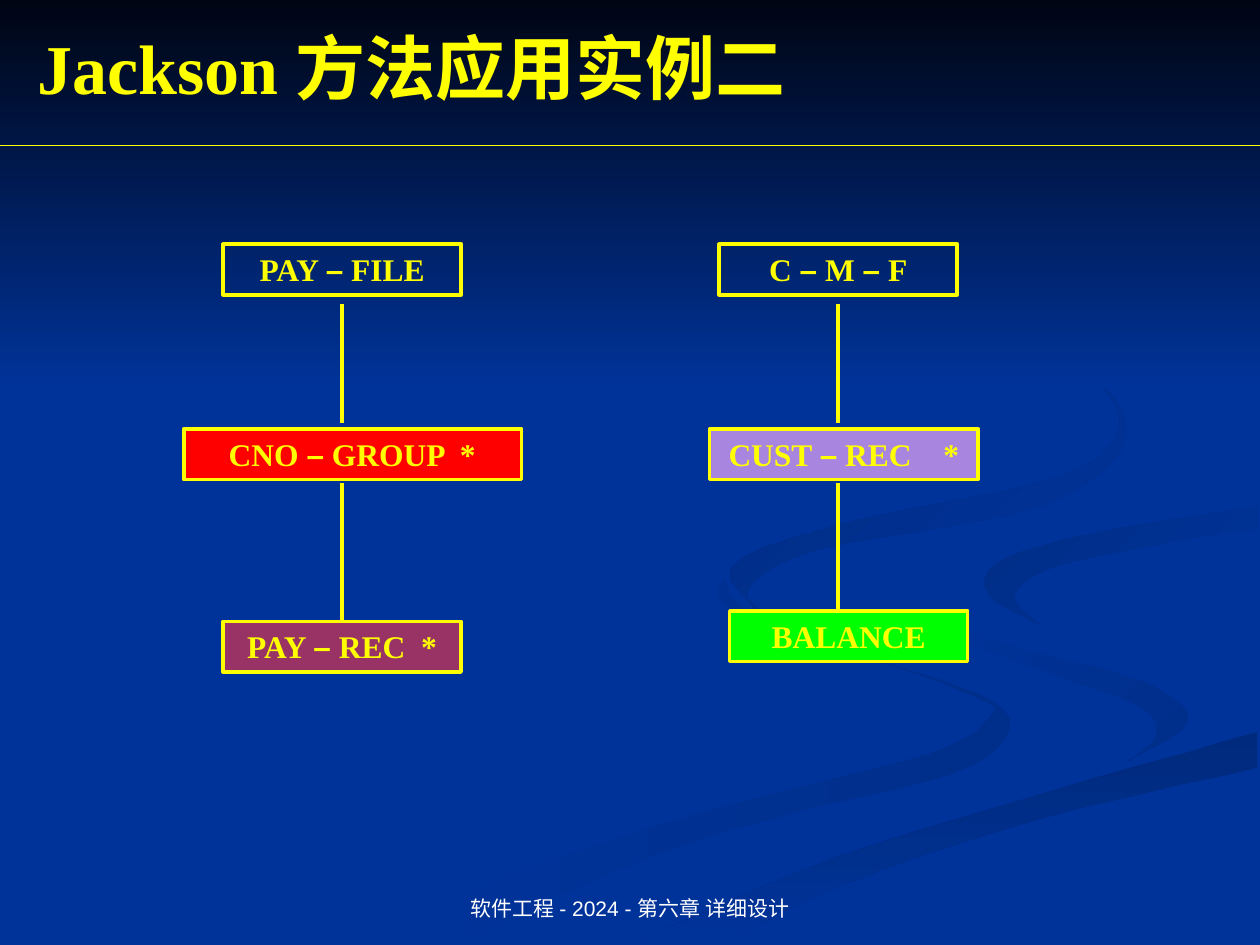
from lxml import etree
from pptx import Presentation
from pptx.dml.color import RGBColor
from pptx.enum.shapes import MSO_CONNECTOR as Connector, MSO_SHAPE as Shape
from pptx.enum.text import MSO_ANCHOR as Anchor, PP_ALIGN as Align
from pptx.oxml.ns import qn
from pptx.util import Pt

YELLOW, WHITE, BLUE = "FFFF00", "FFFFFF", "003399"
SERIF, SANS = "Times New Roman", "Arial"


def color(value):
    return RGBColor.from_string(value)


def write(para, text, format_values, font_color):
    """Fill a paragraph, setting each en dash in the sans font."""
    for piece in text.replace("–", "|–|").split("|"):
        if not piece:
            continue
        span = para.add_run()
        span.text = piece
        for name, value in format_values.items():
            setattr(span.font, name, value)
        if piece == "–":
            span.font.name = SANS
        span.font.color.rgb = color(font_color)


deck = Presentation()
deck.slide_width, deck.slide_height = Pt(720), Pt(540)
page = deck.slides.add_slide(deck.slide_layouts[6])
page.background.fill.solid()
page.background.fill.fore_color.rgb = color(BLUE)

# Ribbons: start color, end color, clockwise angle, then the two edges
# in hundredths of an inch (0.72 pt)
ribbons = [
    (BLUE, "002E8B", 0,
     [(575, 459), (572, 476), (611, 499), (714, 530), (781, 556), (785, 570),
      (739, 598), (579, 639), (417, 690), (300, 749)],
     [(361, 749), (499, 687), (623, 647), (756, 614), (800, 581), (781, 553),
      (682, 519), (594, 485), (575, 459)]),
    (BLUE, "002E8B", 45,
     [(724, 464), (746, 500), (838, 536), (907, 562), (917, 585), (894, 605)],
     [(894, 605), (943, 572), (905, 540), (811, 515), (745, 490), (724, 464)]),
    ("002A7D", BLUE, 90,
     [(571, 749), (670, 702), (821, 651), (998, 609)],
     [(998, 581), (831, 629), (662, 681), (503, 749)]),
    ("002D86", BLUE, 45,
     [(998, 402), (865, 424), (791, 447), (786, 474), (826, 496)],
     [(826, 496), (805, 472), (843, 448), (936, 429), (998, 420)]),
    ("002B82", BLUE, 45,
     [(762, 233), (846, 279), (889, 335), (842, 378), (676, 414), (580, 451), (622, 500)],
     [(622, 500), (593, 470), (649, 436), (825, 402), (894, 344), (843, 275), (762, 233)]),
]
backdrops = []
steps = 5
for start, end, angle, *edges in ribbons:
    outline = []
    for edge in edges:
        # Catmull-Rom curve through the points of the edge
        padded = [edge[0], *edge, edge[-1]]
        for knots in zip(padded, padded[1:], padded[2:], padded[3:]):
            for step in range(steps):
                t = step / steps
                outline.append(tuple(
                    b + t * (c - a) / 2 + t**2 * (a - 2.5 * b + 2 * c - d / 2)
                    + t**3 * (1.5 * (b - c) + (d - a) / 2)
                    for a, b, c, d in zip(*knots)))
        outline.append(edge[-1])
    builder = page.shapes.build_freeform(*outline[0], scale=Pt(0.72))
    builder.add_line_segments(outline[1:], close=True)
    backdrops.append((builder.convert_to_shape(), start, end, angle))

header = page.shapes.add_shape(Shape.RECTANGLE, 0, 0, Pt(720), Pt(222))
backdrops.append((header, "000514", BLUE, 90))
for backdrop, start, end, angle in backdrops:
    backdrop.shadow.inherit = False
    backdrop.line.fill.background()
    backdrop.fill.gradient()
    backdrop.fill.gradient_angle = (360 - angle) % 360
    for stop, value in zip(backdrop.fill.gradient_stops, (start, end)):
        stop.color.rgb = color(value)

# Title and footer
captions = [
    ("Jackson 方法应用实例二", (14.4, 10, 648, 55.5), Anchor.MIDDLE, Align.LEFT,
     {"size": Pt(40), "name": SERIF, "bold": True}, YELLOW),
    ("软件工程 - 2024 - 第六章 详细设计", (246, 492, 228, 37.5), Anchor.BOTTOM, Align.CENTER,
     {"size": Pt(12), "name": SANS}, WHITE),
]
for text, place, anchor, alignment, format_values, font_color in captions:
    frame = page.shapes.add_textbox(*map(Pt, place)).text_frame
    frame.word_wrap = True
    frame.vertical_anchor = anchor
    para = frame.paragraphs[0]
    para.alignment = alignment
    write(para, text, format_values, font_color)

# Structure boxes: text, left, top, width, fill, (left inset, tab stop of the star)
box_width, box_height = 136, 29
file_top, group_top = 139.5, 245
nodes = [
    ("PAY – FILE", 127.5, file_top, box_width, None, None),
    ("CUST – REC\t*", 405.5, group_top, 153.5, "A886E0", (10.8, 122.8)),
    ("PAY – REC\t*", 127.5, 355, box_width, "993366", (13.8, 99.4)),
    ("CNO – GROUP\t*", 105, group_top, 193, "FF0000", (25.7, 132)),
    ("BALANCE", 417, 349, box_width, "00FF00", None),
    ("C – M – F", 411, file_top, box_width, None, None),
]
label_format = {"size": Pt(18), "name": SERIF, "bold": True}
boxes = {}
for text, left, top, width, fill, star in nodes:
    box = page.shapes.add_shape(Shape.RECTANGLE, *map(Pt, (left, top, width, box_height)))
    boxes[text] = box
    box.shadow.inherit = False
    box.line.color.rgb = color(YELLOW)
    box.line.width = Pt(2)
    if fill:
        box.fill.solid()
        box.fill.fore_color.rgb = color(fill)
    else:
        box.fill.background()
    frame = box.text_frame
    frame.word_wrap = True
    frame.vertical_anchor = Anchor.TOP
    para = frame.paragraphs[0]
    para.alignment = Align.CENTER
    if star:
        inset, position = star
        para.alignment = Align.LEFT
        frame.margin_left, frame.margin_right = Pt(inset), 0
        tabs = etree.SubElement(para._p.get_or_add_pPr(), qn("a:tabLst"))
        etree.SubElement(tabs, qn("a:tab"), pos=str(Pt(position)), algn="l")
    write(para, text, label_format, YELLOW)

# Title rule and links: start x, start y, end x, end y, width, box joined at its top
links = [(0, 83, 720, 83, 0.75, None)]
for x, bottom, target in ((195.5, 355, "PAY – REC\t*"), (479, 349, None)):
    links += [(x, 173.5, x, 242, 2, None), (x, 276, x, bottom, 2, target)]
for *ends, width, target in links:
    link = page.shapes.add_connector(Connector.STRAIGHT, *map(Pt, ends))
    link.line.color.rgb = color(YELLOW)
    link.line.width = Pt(width)
    etree.SubElement(link._element.spPr, qn("a:effectLst"))
    if target:
        link.end_connect(boxes[target], 0)

deck.save("out.pptx")
